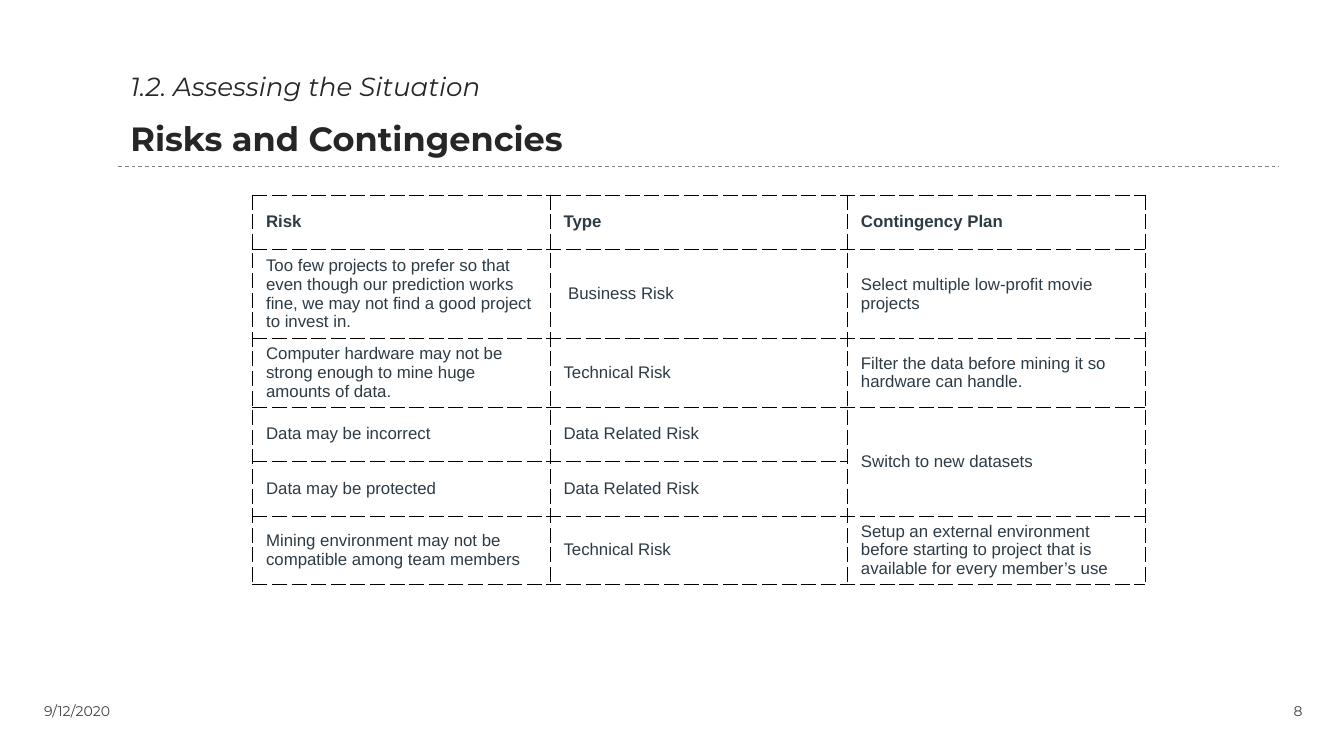
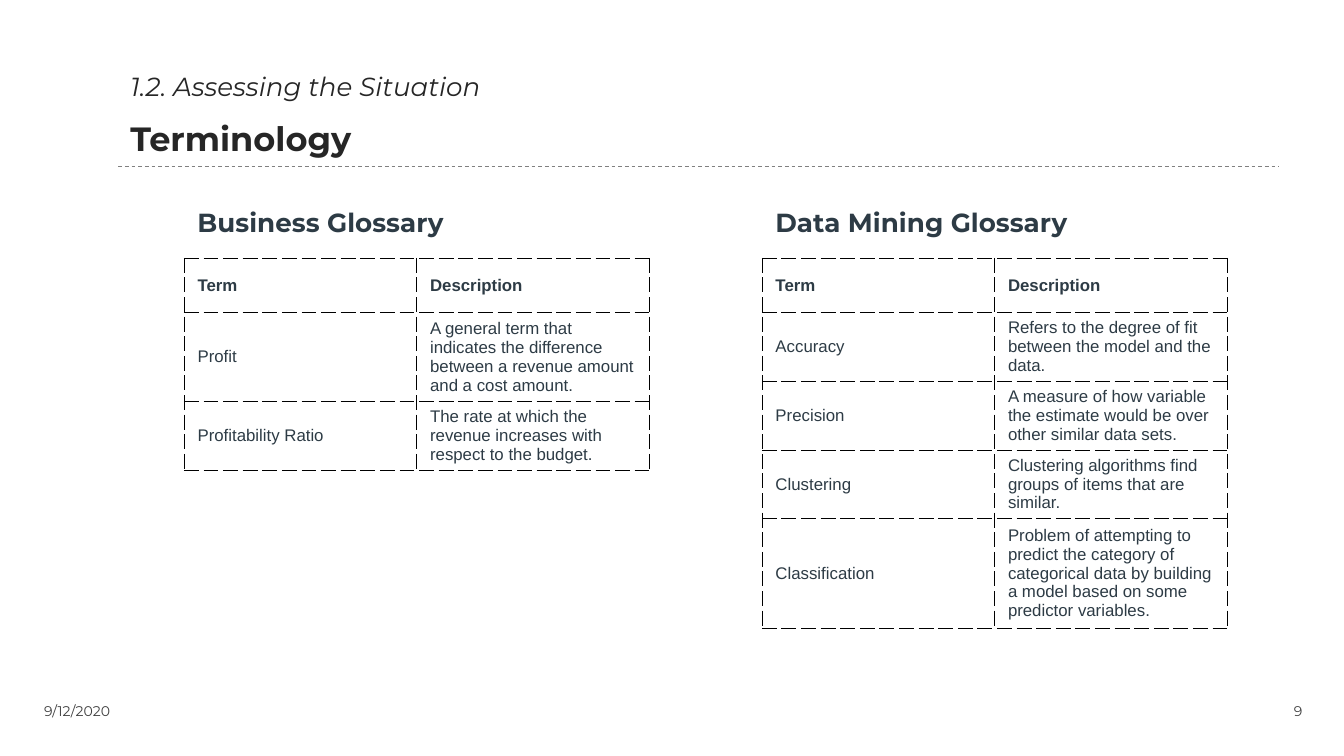
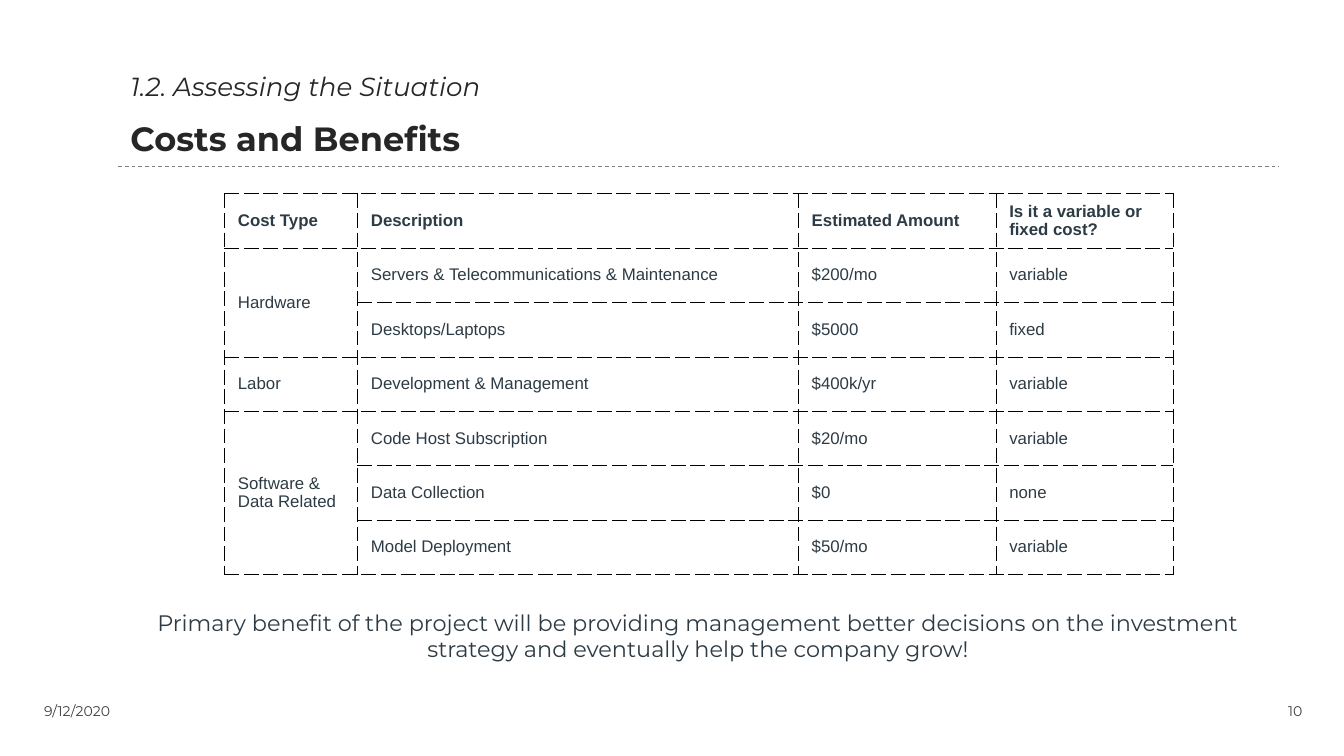
from dataclasses import dataclass

from lxml import etree
from pptx import Presentation
from pptx import util as u
from pptx.dml.color import RGBColor
from pptx.enum import dml, shapes, text
from pptx.oxml import ns


@dataclass(frozen=True)
class Theme:
    heading_font: str = "Montserrat"
    table_font: str = "Arial"
    title: str = "262626"
    body: str = "2D3B45"
    footer: str = "404040"
    rule: str = "808080"
    border: str = "000000"
    section_size: float = 14
    title_size: float = 18
    glossary_size: float = 14
    benefit_size: float = 12
    table_size: float = 9
    footer_size: float = 7.5
    rule_width: float = 0.5
    border_width: float = 0.25


SECTION = "1.2. Assessing the Situation"
DATE = "9/12/2020"
FIRST_PAGE = 8
ROW_HEIGHT = u.Inches(0.81) // 2
CELL_PADDING = u.Inches(0.03)

RISKS = [
    ["Risk", "Type", "Contingency Plan"],
    ["Too few projects to prefer so that even though our prediction works fine, "
     "we may not find a good project to invest in.",
     " Business Risk", "Select multiple low-profit movie projects"],
    ["Computer hardware may not be strong enough to mine huge amounts of data.",
     "Technical Risk", "Filter the data before mining it so hardware can handle."],
    ["Data may be incorrect", "Data Related Risk", "Switch to new datasets"],
    ["Data may be protected", "Data Related Risk", None],
    ["Mining environment may not be compatible among team members", "Technical Risk",
     "Setup an external environment before starting to project that is available "
     "for every member’s use"],
]

BUSINESS_TERMS = [
    ["Term", "Description"],
    ["Profit", "A general term that indicates the difference between a revenue amount "
     "and a cost amount."],
    ["Profitability Ratio", "The rate at which the revenue increases with respect to the budget."],
]

MINING_TERMS = [
    ["Term", "Description"],
    ["Accuracy", "Refers to the degree of fit between the model and the data."],
    ["Precision", "A measure of how variable the estimate would be over other similar data sets."],
    ["Clustering", "Clustering algorithms find groups of items that are similar."],
    ["Classification", "Problem of attempting to predict the category of categorical data "
     "by building a model based on some predictor variables."],
]

COSTS = [
    ["Cost Type", "Description", "Estimated Amount", "Is it a variable or fixed cost?"],
    ["Hardware", "Servers & Telecommunications & Maintenance", "$200/mo", "variable"],
    [None, "Desktops/Laptops", "$5000", "fixed"],
    ["Labor", "Development & Management", "$400k/yr", "variable"],
    ["Software & Data Related", "Code Host Subscription", "$20/mo", "variable"],
    [None, "Data Collection", "$0", "none"],
    [None, "Model Deployment", "$50/mo", "variable"],
]

BENEFIT = ("Primary benefit of the project will be providing management better decisions "
           "on the investment strategy and eventually help the company grow!")


def write(paragraph, words, *, font, size, color, bold=False, italic=False,
          align=text.PP_ALIGN.LEFT):
    paragraph.alignment = align
    run = paragraph.add_run()
    run.text = words
    run.font.name = font
    run.font.size = u.Pt(size)
    run.font.bold = bold
    run.font.italic = italic
    run.font.color.rgb = RGBColor.from_string(color)


class Deck:
    def __init__(self, theme):
        self.theme = theme
        self.presentation = Presentation()
        self.presentation.slide_width = u.Inches(10)
        self.presentation.slide_height = u.Inches(10) * 9 // 16
        self.slide = None

    def start(self, heading):
        theme = self.theme
        self.slide = self.presentation.slides.add_slide(self.presentation.slide_layouts[5])
        page = FIRST_PAGE + len(self.presentation.slides) - 1
        self.title(heading)
        footer = dict(size=theme.footer_size, color=theme.footer,
                      anchor=text.MSO_ANCHOR.BOTTOM)
        self.label(DATE, 0.23, 5.17, 2.25, 0.23, **footer)
        self.label(str(page), 8.59, 5.17, 1.2, 0.23, align=text.PP_ALIGN.RIGHT, **footer)
        self.rule(0.88, 9.52, 1.24)

    def title(self, heading):
        theme = self.theme
        title = self.slide.shapes.title
        title.left, title.top = u.Inches(0.87), u.Inches(0.38)
        title.width, title.height = u.Inches(8.65), u.Inches(0.86)
        frame = title.text_frame
        frame.auto_size = text.MSO_AUTO_SIZE.NONE
        frame.vertical_anchor = text.MSO_ANCHOR.TOP
        lines = frame.paragraphs[0]
        lines.line_spacing = 1.4
        look = dict(font=theme.heading_font, color=theme.title)
        write(lines, SECTION, size=theme.section_size, italic=True, **look)
        lines.add_line_break()
        write(lines, heading, size=theme.title_size, bold=True, **look)

    def label(self, words, left, top, width, height, anchor=text.MSO_ANCHOR.TOP, **look):
        box = self.slide.shapes.add_textbox(
            u.Inches(left), u.Inches(top), u.Inches(width), u.Inches(height))
        frame = box.text_frame
        frame.word_wrap = True
        frame.vertical_anchor = anchor
        write(frame.paragraphs[0], words, font=self.theme.heading_font, **look)

    def rule(self, left, right, y):
        rule = self.slide.shapes.add_connector(
            shapes.MSO_CONNECTOR.STRAIGHT,
            u.Inches(left), u.Inches(y), u.Inches(right), u.Inches(y))
        rule.line.color.rgb = RGBColor.from_string(self.theme.rule)
        rule.line.width = u.Pt(self.theme.rule_width)
        rule.line.dash_style = dml.MSO_LINE.DASH
        etree.SubElement(rule.element.spPr, ns.qn("a:effectLst"))

    def border(self, cell):
        properties = cell._tc.get_or_add_tcPr()
        for place, side in enumerate(("lnL", "lnR", "lnT", "lnB")):
            line = etree.Element(ns.qn(f"a:{side}"), w=str(u.Pt(self.theme.border_width)))
            fill = etree.SubElement(line, ns.qn("a:solidFill"))
            etree.SubElement(fill, ns.qn("a:srgbClr"), val=self.theme.border)
            etree.SubElement(line, ns.qn("a:prstDash"), val="dash")
            properties.insert(place, line)

    def table(self, rows, left, top, width, columns=(), merges=()):
        theme = self.theme
        table = self.slide.shapes.add_table(
            len(rows), len(rows[0]), u.Inches(left), u.Inches(top),
            u.Inches(width), ROW_HEIGHT * len(rows)).table
        table.horz_banding = False
        for column, column_width in zip(table.columns, columns):
            column.width = u.Inches(column_width)
        for r, row in enumerate(rows):
            for c, words in enumerate(row):
                cell = table.cell(r, c)
                cell.fill.background()
                cell.vertical_anchor = text.MSO_ANCHOR.MIDDLE
                cell.margin_top = cell.margin_bottom = CELL_PADDING
                self.border(cell)
                if words is not None:
                    write(cell.text_frame.paragraphs[0], words, font=theme.table_font,
                          size=theme.table_size, color=theme.body, bold=r == 0)
        for column, first, last in merges:
            table.cell(first, column).merge(table.cell(last, column))

    def glossary(self, heading, terms, left):
        self.table(terms, left, 1.92, 3.46)
        self.label(heading, left, 1.49, 2.62, 0.3, size=self.theme.glossary_size,
                   color=self.theme.body, bold=True)


def main():
    theme = Theme()
    deck = Deck(theme)

    deck.start("Risks and Contingencies")
    deck.table(RISKS, 1.88, 1.45, 6.64, merges=[(2, 3, 4)])

    deck.start("Terminology")
    deck.glossary("Business Glossary", BUSINESS_TERMS, 1.37)
    deck.glossary("Data Mining Glossary", MINING_TERMS, 5.67)

    deck.start("Costs and Benefits")
    deck.table(COSTS, 1.67, 1.44, 7.07, columns=(0.99, 3.28, 1.47, 1.32),
               merges=[(0, 1, 2), (0, 4, 6)])
    deck.label(BENEFIT, 0.87, 4.48, 8.65, 1.1, size=theme.benefit_size,
               color=theme.body, align=text.PP_ALIGN.CENTER)

    deck.presentation.save("out.pptx")


if __name__ == "__main__":
    main()
